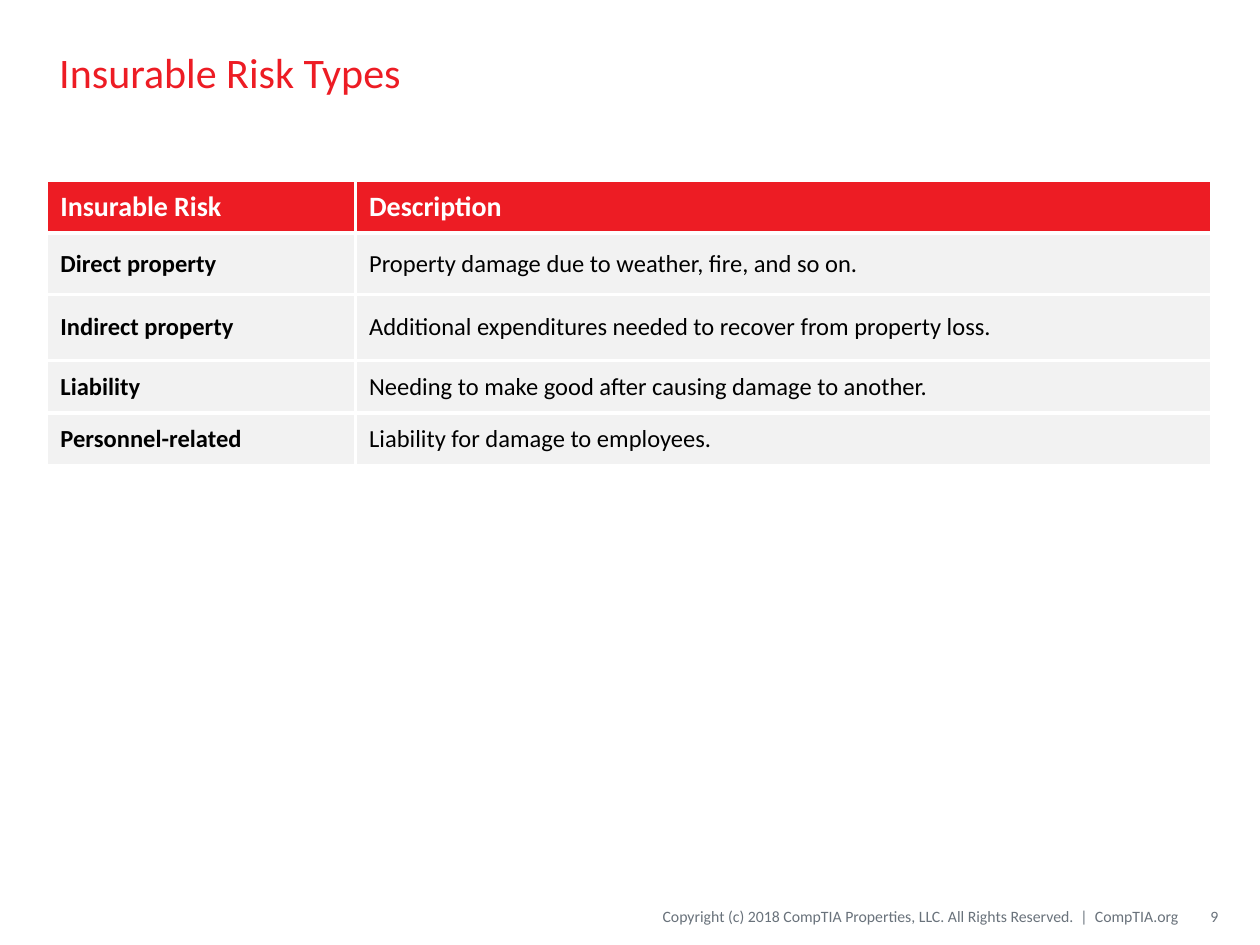
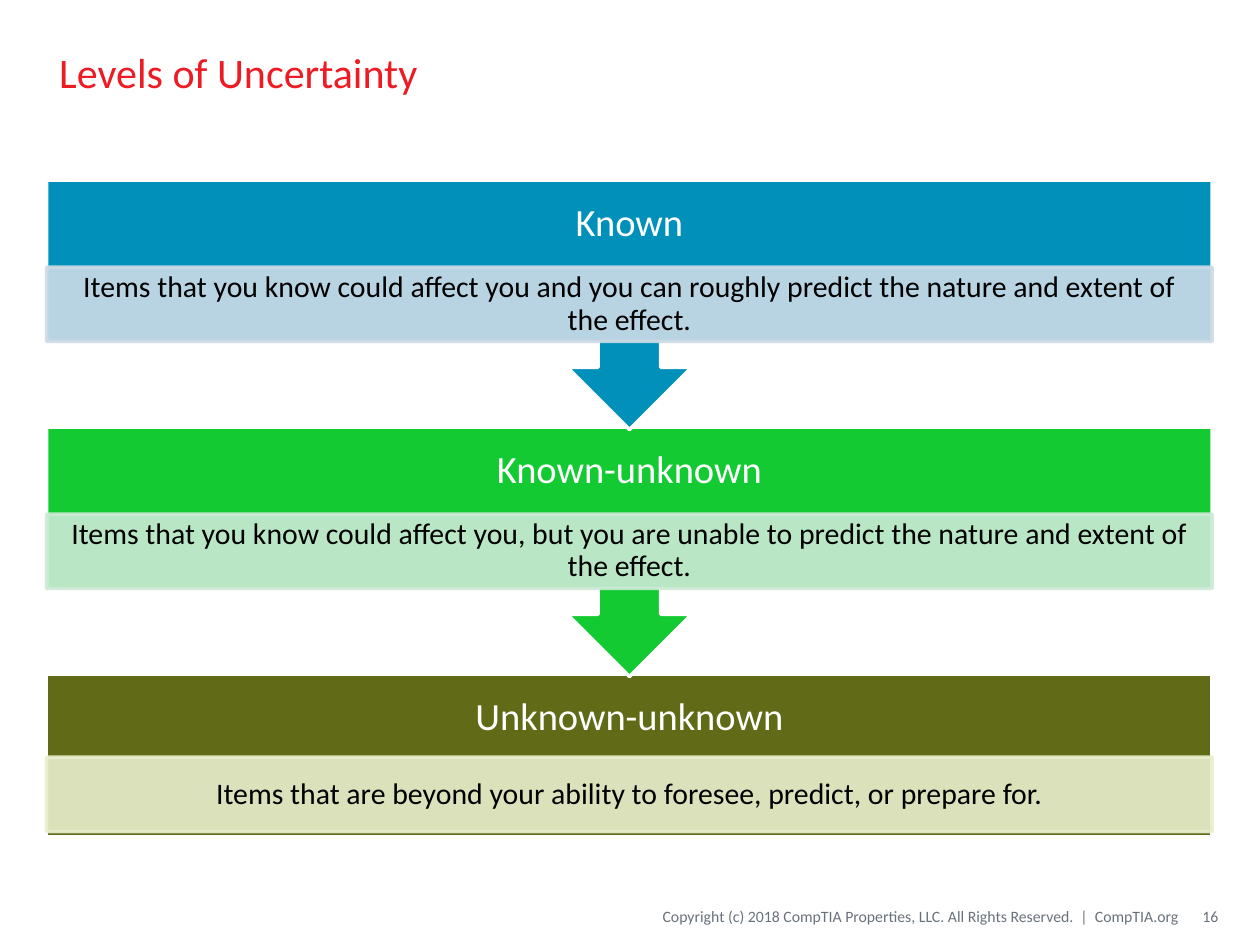
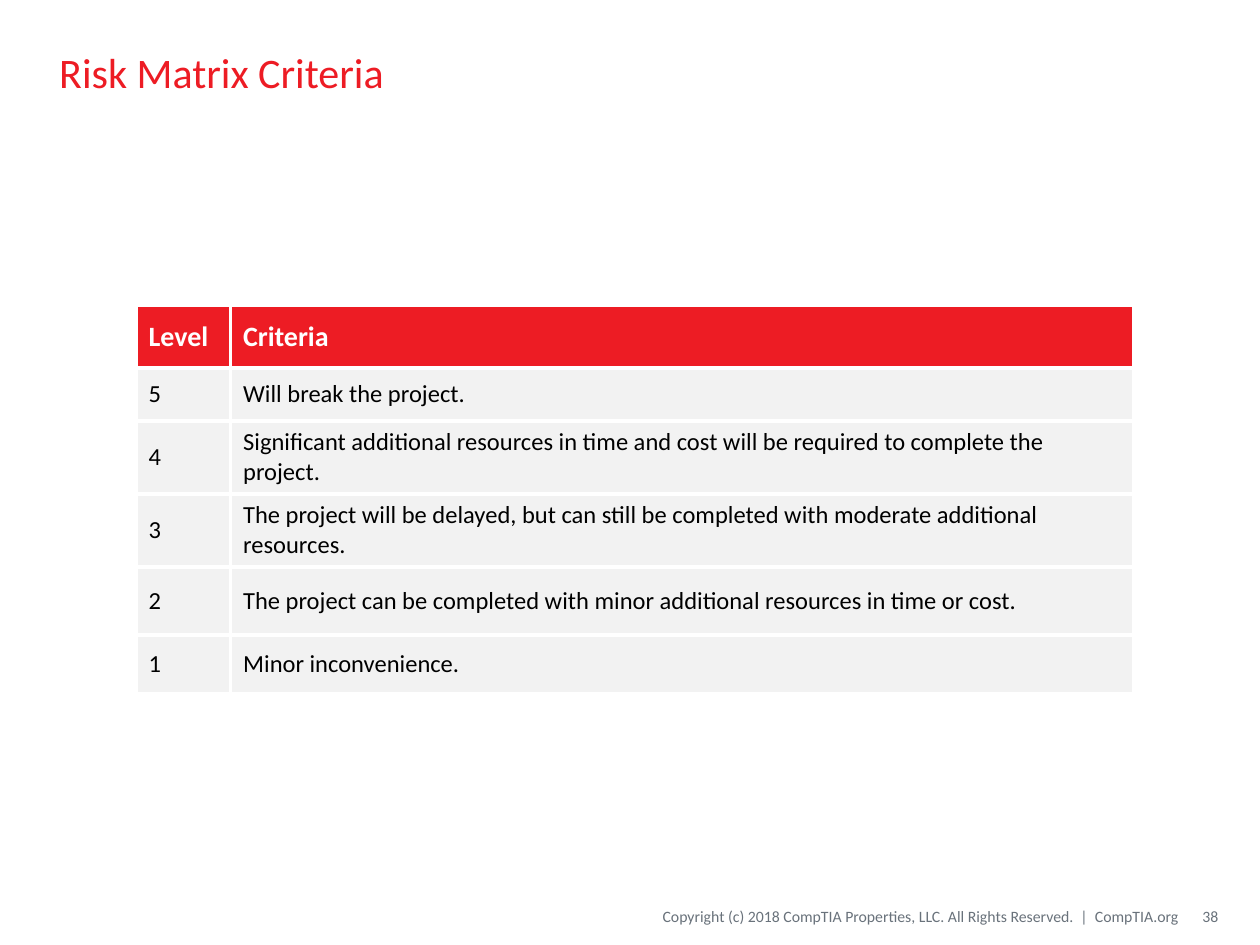
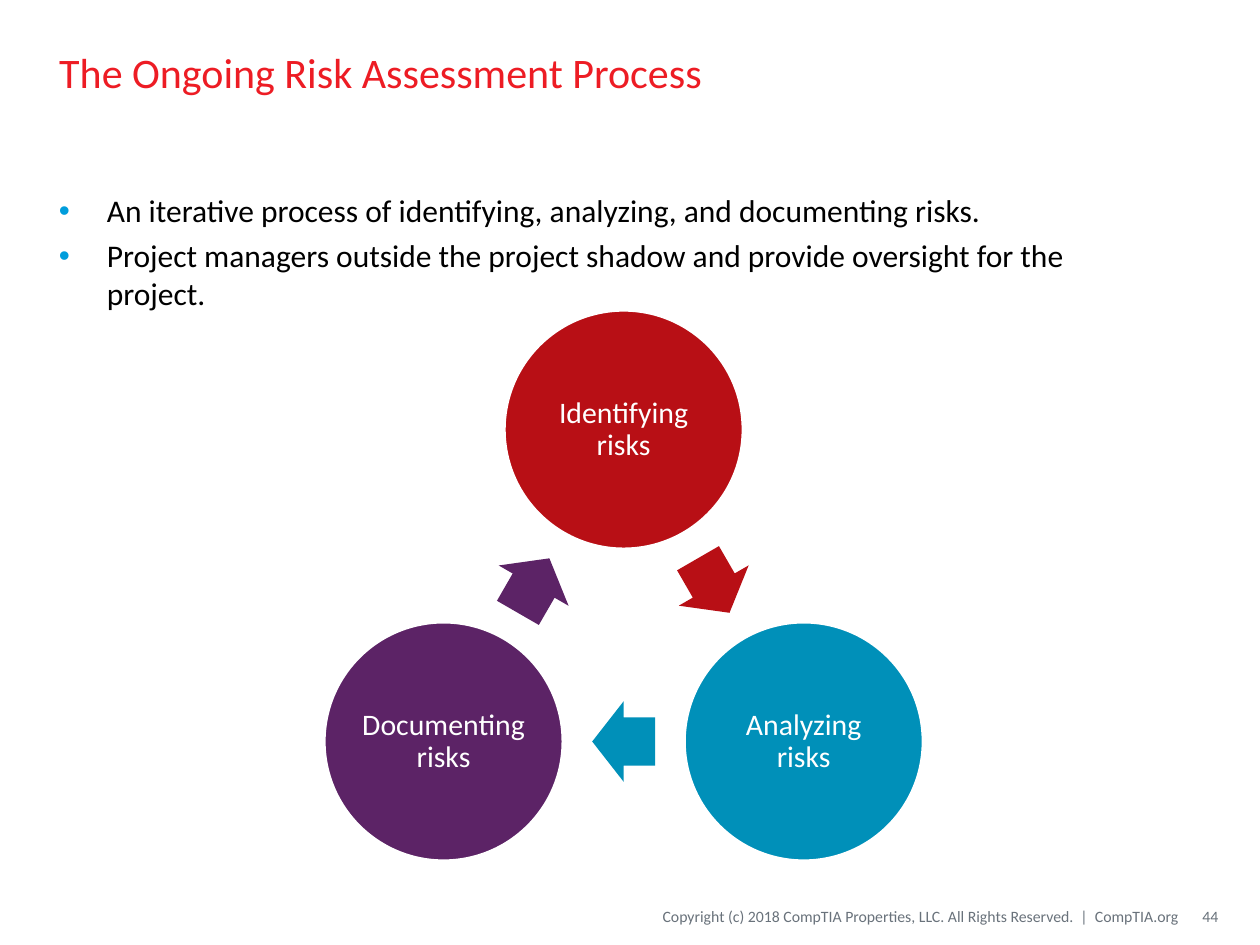
"""Build four risk management slides with tables, level bands and a cycle."""
from dataclasses import dataclass
from math import cos, radians, sin

from lxml.etree import SubElement
from pptx import Presentation
from pptx.dml.color import RGBColor
from pptx.enum.shapes import MSO_SHAPE
from pptx.enum.text import MSO_ANCHOR, MSO_AUTO_SIZE, PP_ALIGN
from pptx.oxml.ns import qn
from pptx.util import Inches, Pt


@dataclass(frozen=True)
class Theme:
    font: str = "Calibri"
    red: str = "ED1C24"
    dark_red: str = "B80F15"
    blue: str = "0090B9"
    pale_blue: str = "CCDBE6"
    green: str = "13CA32"
    pale_green: str = "CCEBD5"
    olive: str = "616A17"
    pale_olive: str = "E9EFCD"
    purple: str = "5C2366"
    bullet: str = "009DDC"
    gray: str = "69727B"
    row: str = "F2F2F2"
    white: str = "FFFFFF"
    black: str = "000000"
    title_size: float = 24
    heading_size: float = 22
    body_size: float = 18
    label_size: float = 17
    header_size: float = 16
    cell_size: float = 14
    footer_size: float = 9
    outline: float = 2
    border: float = 2.25


THEME = Theme()
LEFT, WIDTH = 0.37, 9.25
COPYRIGHT = "Copyright (c) 2018 CompTIA Properties, LLC. All Rights Reserved.  |  CompTIA.org"


def rgb(color):
    return RGBColor.from_string(color)


def write_text(frame, *texts, size, color, bold=False, align=PP_ALIGN.LEFT, anchor=MSO_ANCHOR.MIDDLE,
               margins=(0.1, 0.05, 0.1, 0.05), line_spacing=None, gap=0, bullet=None):
    frame.word_wrap = True
    frame.auto_size = MSO_AUTO_SIZE.NONE
    frame.vertical_anchor = anchor
    frame.margin_left, frame.margin_top, frame.margin_right, frame.margin_bottom = map(Inches, margins)
    for index, text in enumerate(texts):
        paragraph = frame.add_paragraph() if index else frame.paragraphs[0]
        if bullet:
            properties = paragraph._p.get_or_add_pPr()
            properties.set("marL", str(Inches(0.38)))
            properties.set("indent", str(-Inches(0.38)))
            SubElement(SubElement(properties, qn("a:buClr")), qn("a:srgbClr"), val=bullet)
            SubElement(properties, qn("a:buFont"), typeface="Arial")
            SubElement(properties, qn("a:buChar"), char="•")
        paragraph.alignment = align
        paragraph.line_spacing = line_spacing
        if index:
            paragraph.space_before = Pt(gap)
        run = paragraph.add_run()
        run.text = text
        run.font.name = THEME.font
        run.font.size = Pt(size)
        run.font.bold = bold
        run.font.color.rgb = rgb(color)


class Deck:
    def __init__(self, theme):
        self.theme = theme
        self.presentation = Presentation()
        self.presentation.slide_width = Inches(10)
        self.presentation.slide_height = Inches(7.5)
        self.slide = None

    def add_slide(self, title, number):
        theme = self.theme
        self.slide = self.presentation.slides.add_slide(self.presentation.slide_layouts[5])
        placeholder = self.slide.shapes.title
        placeholder.left, placeholder.top = Inches(LEFT), Inches(0.11)
        placeholder.width, placeholder.height = Inches(WIDTH), Inches(0.92)
        write_text(placeholder.text_frame, title, size=theme.title_size, color=theme.red)
        footer = dict(size=theme.footer_size, color=theme.gray, align=PP_ALIGN.RIGHT)
        self.text(3.88, 7.12, 5.47, 0.3, COPYRIGHT, margins=(0, 0.05, 0, 0.05), **footer)
        self.text(9.38, 7.12, 0.29, 0.3, str(number), margins=(0, 0.05, 0, 0.05), **footer)

    def text(self, left, top, width, height, *texts, **style):
        box = self.slide.shapes.add_textbox(Inches(left), Inches(top), Inches(width), Inches(height))
        write_text(box.text_frame, *texts, **style)

    def shape(self, kind, left, top, width, height, fill, line=None, rotation=0, opacity=None):
        shape = self.slide.shapes.add_shape(kind, Inches(left), Inches(top), Inches(width), Inches(height))
        shape.shadow.inherit = False
        shape.rotation = rotation
        shape.fill.solid()
        shape.fill.fore_color.rgb = rgb(fill)
        if line:
            shape.line.color.rgb = rgb(line)
            shape.line.width = Pt(self.theme.outline)
        else:
            shape.line.fill.background()
        if opacity:
            for color in shape.element.spPr.iter(qn("a:srgbClr")):
                SubElement(color, qn("a:alpha"), val=str(opacity * 1000))
        return shape

    def table(self, left, top, columns, heights, rows, margin=0.1, bold_first=False):
        theme = self.theme
        frame = self.slide.shapes.add_table(len(rows), len(columns), Inches(left), Inches(top),
                                            Inches(sum(columns)), Inches(sum(heights)))
        table = frame.table
        table.horz_banding = False
        for column, width in zip(table.columns, columns):
            column.width = Inches(width)
        for row_index, (values, height) in enumerate(zip(rows, heights)):
            table.rows[row_index].height = Inches(height)
            header = row_index == 0
            for column_index, value in enumerate(values):
                self.cell(table.cell(row_index, column_index), value, margin,
                          fill=theme.red if header else theme.row,
                          size=theme.header_size if header else theme.cell_size,
                          color=theme.white if header else theme.black,
                          bold=header or (bold_first and column_index == 0))

    def cell(self, cell, value, margin, fill, **style):
        properties = cell._tc.get_or_add_tcPr()
        for side in ("a:lnL", "a:lnR", "a:lnT", "a:lnB"):
            line = SubElement(properties, qn(side), w=str(Pt(self.theme.border)))
            SubElement(SubElement(line, qn("a:solidFill")), qn("a:srgbClr"), val=self.theme.white)
        cell.fill.solid()
        cell.fill.fore_color.rgb = rgb(fill)
        cell.vertical_anchor = MSO_ANCHOR.MIDDLE
        cell.margin_left = cell.margin_right = Inches(margin)
        cell.margin_top = cell.margin_bottom = Inches(0.05)
        paragraph = cell.text_frame.paragraphs[0]
        run = paragraph.add_run()
        run.text = value
        run.font.name = self.theme.font
        run.font.size = Pt(style["size"])
        run.font.bold = style["bold"]
        run.font.color.rgb = rgb(style["color"])

    def level(self, top, heading, detail, fill, pale, last):
        theme = self.theme
        kind = MSO_SHAPE.RECTANGLE if last else MSO_SHAPE.UP_ARROW_CALLOUT
        self.shape(kind, LEFT, top, WIDTH, 1.29 if last else 1.98, fill, theme.white,
                   rotation=0 if last else 180)
        centered = dict(align=PP_ALIGN.CENTER, line_spacing=0.9)
        self.text(LEFT, top, WIDTH, 0.69, heading, size=theme.heading_size, color=theme.white,
                  margins=(0.17,) * 4, **centered)
        band = self.shape(MSO_SHAPE.RECTANGLE, LEFT, top + (0.66 if last else 0.69), WIDTH, 0.59,
                          pale, pale, opacity=90)
        write_text(band.text_frame, detail, size=theme.label_size, color=theme.black,
                   margins=(0.13, 0.02, 0.13, 0.02), **centered)

    def cycle(self, center_x, center_y, radius, steps):
        theme = self.theme
        diameter, arrow_width, arrow_height = 1.9, 0.5, 0.64
        turn = 360 / len(steps)
        for index, (label, fill) in enumerate(steps):
            angle = radians(index * turn - 90)
            circle = self.shape(MSO_SHAPE.OVAL, center_x + radius * cos(angle) - diameter / 2,
                                center_y + radius * sin(angle) - diameter / 2,
                                diameter, diameter, fill, theme.white)
            write_text(circle.text_frame, label, size=theme.label_size, color=theme.white,
                       align=PP_ALIGN.CENTER, line_spacing=0.9, margins=(0.02,) * 4)
            middle = angle + radians(turn / 2)
            reach = radius * cos(radians(turn / 2))
            arrow = self.shape(MSO_SHAPE.RIGHT_ARROW, center_x + reach * cos(middle) - arrow_width / 2,
                               center_y + reach * sin(middle) - arrow_height / 2,
                               arrow_width, arrow_height, fill, rotation=(index + 0.5) * turn)
            arrow.adjustments[0] = 0.6
            arrow.adjustments[1] = 0.5


def main():
    deck = Deck(THEME)

    deck.add_slide("Insurable Risk Types", 9)
    deck.table(LEFT, 1.43, [2.45, 6.8], [0.42, 0.49, 0.52, 0.42, 0.42], [
        ("Insurable Risk", "Description"),
        ("Direct property", "Property damage due to weather, fire, and so on."),
        ("Indirect property", "Additional expenditures needed to recover from property loss."),
        ("Liability", "Needing to make good after causing damage to another."),
        ("Personnel-related", "Liability for damage to employees."),
    ], margin=0.11, bold_first=True)

    deck.add_slide("Levels of Uncertainty", 16)
    levels = [
        ("Known", "Items that you know could affect you and you can roughly predict the nature "
         "and extent of the effect.", THEME.blue, THEME.pale_blue),
        ("Known-unknown", "Items that you know could affect you, but you are unable to predict the nature "
         "and extent of the effect.", THEME.green, THEME.pale_green),
        ("Unknown-unknown", "Items that are beyond your ability to foresee, predict, or prepare for.",
         THEME.olive, THEME.pale_olive),
    ]
    for index, level in reversed(list(enumerate(levels))):
        deck.level(1.43 + 1.96 * index, *level, last=index == len(levels) - 1)

    deck.add_slide("Risk Matrix Criteria", 38)
    deck.table(1.08, 2.42, [0.75, 7.17], [0.5, 0.42, 0.58, 0.58, 0.54, 0.47], [
        ("Level", "Criteria"),
        ("5", "Will break the project."),
        ("4", "Significant additional resources in time and cost will be required to complete the project."),
        ("3", "The project will be delayed, but can still be completed with moderate additional resources."),
        ("2", "The project can be completed with minor additional resources in time or cost."),
        ("1", "Minor inconvenience."),
    ])

    deck.add_slide("The Ongoing Risk Assessment Process", 44)
    deck.cycle(4.95, 5.06, 1.65, [
        ("Identifying risks", THEME.dark_red),
        ("Analyzing risks", THEME.blue),
        ("Documenting risks", THEME.purple),
    ])
    deck.text(LEFT, 1.42, 8.46, 1.07,
              "An iterative process of identifying, analyzing, and documenting risks.",
              "Project managers outside the project shadow and provide oversight for the project.",
              size=THEME.body_size, color=THEME.black, anchor=MSO_ANCHOR.TOP,
              margins=(0.1, 0.1, 0.1, 0.05), gap=4, bullet=THEME.bullet)

    deck.presentation.save("out.pptx")


if __name__ == "__main__":
    main()
